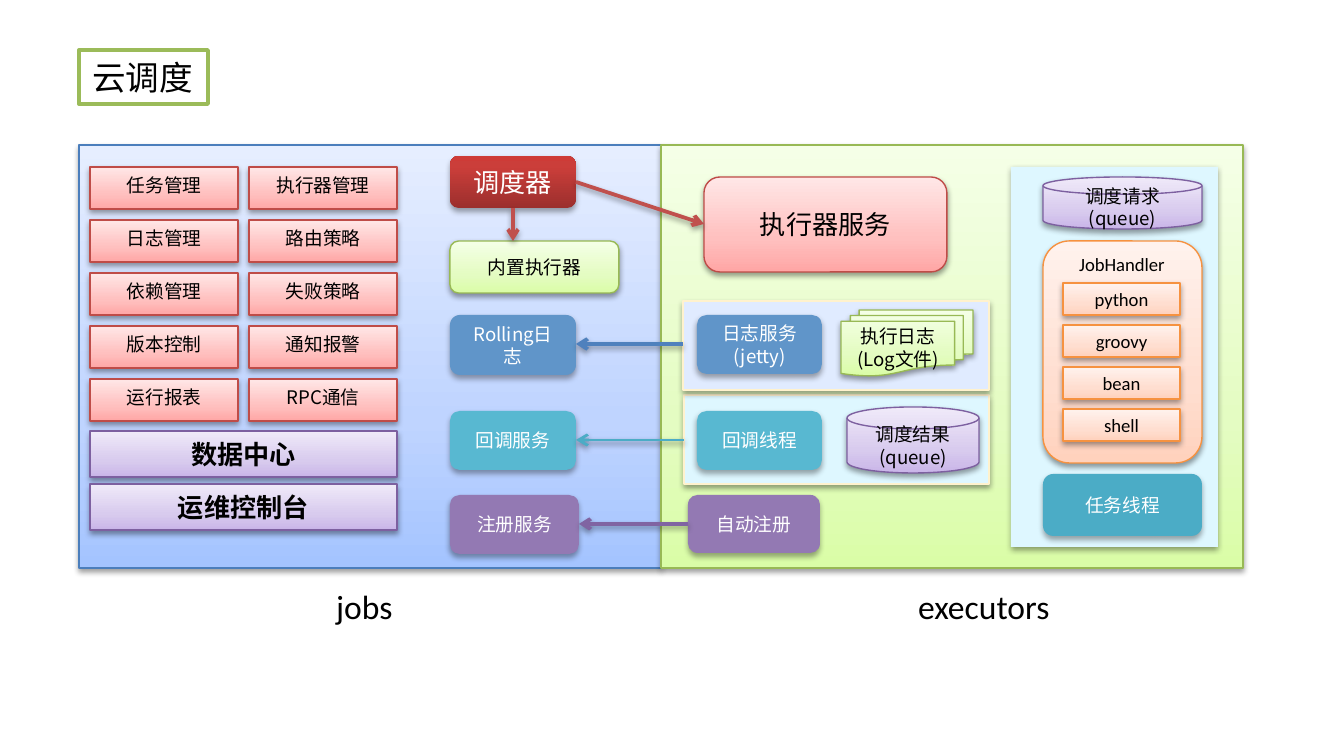
from lxml.etree import SubElement
from pptx import Presentation
from pptx.dml.color import RGBColor
from pptx.enum.shapes import MSO_CONNECTOR, MSO_SHAPE as Kind
from pptx.enum.text import MSO_ANCHOR as Anchor, PP_ALIGN as Align
from pptx.oxml.ns import qn
from pptx.util import Emu, Pt

SCALE = 914400 / 134.4
CJK, LATIN = "Noto Sans CJK SC", "Calibri"
RECT, ROUND = Kind.RECTANGLE, Kind.ROUNDED_RECTANGLE
SOFT, DISK = Kind.FLOWCHART_ALTERNATE_PROCESS, Kind.FLOWCHART_MAGNETIC_DISK
PROCESS, FILES = Kind.FLOWCHART_PROCESS, Kind.FLOWCHART_MULTIDOCUMENT

COLORS = {
    "black": "000000", "white": "FFFFFF", "title line": "9BBB59",
    "red arrow": "C0504D", "blue arrow": "4F81BD",
    "teal arrow": "4BACC6", "purple arrow": "8064A2",
}
# Gradient stops run from bottom to top
PALE, DEEP = (0, 35, 100), (0, 80, 100)
STYLES = {  # fill colours, stops, line, text colour
    "blue": (("A4C4FF", "BFD4FF", "E6EEFF"), PALE, "4B7EBC", "black"),
    "green": (("DAFDA7", "E4FCC2", "F5FFE7"), PALE, "98B955", "black"),
    "pink": (("FFA6A5", "FFC0BF", "FFE7E7"), PALE, "BF4C48", "black"),
    "lilac": (("C9B5E8", "D8CBEE", "F0EAF9"), PALE, "7D60A0", "black"),
    "orange": (("FFD2BD", "FFDED0", "FFF2ED"), PALE, "F69240", "black"),
    "red": (("9C2F2D", "CB3E3A", "CE3B37"), DEEP, None, "white"),
    "thread": (("4BACC6",), None, None, "white"),
    "callback": (("58B8D1",), None, None, "white"),
    "log": (("6095C9",), None, None, "white"),
    "register": (("9379B3",), None, None, "white"),
    "request panel": (("DEF7FF",), None, None, "black"),
    "callback panel": (("DEF7FF",), None, "FFF2CD", "black"),
    "log panel": (("E0EBFF",), None, "FFF2CD", "black"),
}

# Content: text, kind, style, (left, top, width, height), text size
PANELS = [
    ("", RECT, "blue", (79, 145, 582, 423), 10),
    ("", RECT, "green", (661, 145, 582, 423), 10),
    ("", RECT, "request panel", (1011, 167, 207, 380), 10),
    ("", SOFT, "orange", (1043, 241, 159, 222), 10),
    ("", RECT, "callback panel", (684, 395, 305, 89), 10),
    ("", RECT, "log panel", (683, 301, 306, 89), 10),
]
BOXES = [
    ("调度器", ROUND, "red", (450, 156, 126, 52), 14),
    ("内置执行器", SOFT, "green", (450, 241, 169, 52), 10),
    ("Rolling日志", SOFT, "log", (450, 315, 126, 60), 10),
    ("回调服务", ROUND, "callback", (450, 411, 126, 59), 10),
    ("注册服务", SOFT, "register", (450, 495, 129, 59), 10),
    ("执行器服务", SOFT, "pink", (704, 177, 243, 95), 14),
    ("日志服务\n(jetty)", SOFT, "log", (697, 315, 125, 59), 10),
    ("执行日志\n(Log文件)", FILES, "green", (841, 310, 132, 66), 10),
    ("回调线程", ROUND, "callback", (697, 411, 125, 59), 10),
    ("调度结果\n(queue)", DISK, "lilac", (847, 407, 132, 66), 10),
    ("自动注册", SOFT, "register", (688, 495, 132, 58), 10),
    ("调度请求\n(queue)", DISK, "lilac", (1043, 177, 159, 52), 10),
    ("任务线程", SOFT, "thread", (1043, 474, 159, 62), 10),
]
FEATURES = [
    ("任务管理", "执行器管理"), ("日志管理", "路由策略"), ("依赖管理", "失败策略"),
    ("版本控制", "通知报警"), ("运行报表", "RPC通信"),
]
CENTERS = ["数据中心", "运维控制台"]
HANDLERS = ["python", "groovy", "bean", "shell"]
LABELS = [
    ("jobs", (323, 579, 83, 54), 18),
    ("executors", (905, 579, 160, 54), 18),
    ("JobHandler", (1066, 246, 114, 36), 10),
]
ARROWS = [  # colour, from, to, width
    ("red arrow", (576, 182), (704, 224), 2),
    ("red arrow", (513, 208), (513, 241), 2),
    ("blue arrow", (683, 344), (576, 344), 2),
    ("teal arrow", (684, 440), (576, 440), 1.5),
    ("purple arrow", (688, 524), (579, 524), 2),
]

deck = Presentation()
deck.slide_width, deck.slide_height = (Emu(round(n * SCALE)) for n in (1344, 756))
page = deck.slides.add_slide(deck.slide_layouts[6])


def px(*lengths):
    return [Emu(round(n * SCALE)) for n in lengths]


def rgb(value):
    return RGBColor.from_string(value)


def add_color(parent, value, alpha=None):
    color = SubElement(parent, qn("a:srgbClr"), val=value)
    if alpha:
        SubElement(color, qn("a:alpha"), val=str(alpha * 1000))


def add_shadow(effects, distance, alpha):
    shadow = SubElement(effects, qn("a:outerShdw"), blurRad="40000",
                        dist=str(distance), dir="5400000", rotWithShape="0")
    add_color(shadow, COLORS["black"], alpha)


def paint(shape, colors, stops):
    if stops is None:
        shape.fill.solid()
        shape.fill.fore_color.rgb = rgb(colors[0])
        return
    shape.fill.gradient()
    shape.fill.gradient_angle = 90
    stop_list = shape._element.spPr.find(".//" + qn("a:gsLst"))
    stop_list.clear()
    for color, stop in zip(colors, stops):
        add_color(SubElement(stop_list, qn("a:gs"), pos=str(stop * 1000)), color)


def write(shape, text, size, color, font=CJK, bold=False,
          align=Align.CENTER, anchor=Anchor.MIDDLE, wrap=True):
    frame = shape.text_frame
    frame.word_wrap, frame.vertical_anchor = wrap, anchor
    frame.text = text
    for para in frame.paragraphs:
        para.alignment = align
        para.font.size, para.font.bold = Pt(size), bold
        para.font.color.rgb = rgb(COLORS[color])
        para.font.name = font
        SubElement(para.font._element, qn("a:ea"), typeface=CJK)


def add_box(text, kind, style, at, size=10, **options):
    colors, stops, line, text_color = STYLES[style]
    box = page.shapes.add_shape(kind, *px(*at))
    paint(box, colors, stops)
    if line:
        box.line.color.rgb, box.line.width = rgb(line), Pt(0.75)
    else:
        box.line.fill.background()
    box.shadow.inherit = False
    effects = box._element.spPr.find(qn("a:effectLst"))
    add_shadow(effects, *((23000, 35) if text_color == "white" else (20000, 38)))
    if text:
        write(box, text, size, text_color, **options)


def add_label(text, at, size):
    write(page.shapes.add_textbox(*px(*at)), text, size, "black", font=LATIN,
          align=Align.LEFT, anchor=Anchor.TOP, wrap=False)


# Title
title = page.shapes.add_shape(RECT, *px(79, 50, 129, 54))
title.shadow.inherit = False
paint(title, (COLORS["white"],), None)
title.line.color.rgb, title.line.width = rgb(COLORS["title line"]), Pt(2)
write(title, "云调度", 18, "black", font=LATIN,
      align=Align.LEFT, anchor=Anchor.TOP, wrap=False)

# Panels and single boxes
for item in PANELS + BOXES:
    add_box(*item)

# Feature grid, with the two wide bars below it
for row, names in enumerate(FEATURES):
    for column, name in enumerate(names):
        add_box(name, RECT, "pink", (90 + 159 * column, 167 + 53 * row, 148, 42),
                anchor=Anchor.TOP)
for row, name in enumerate(CENTERS):
    add_box(name, PROCESS, "lilac", (90, 431 + 53 * row, 307, 46), 14, bold=True)

# Job handlers
for row, name in enumerate(HANDLERS):
    add_box(name, RECT, "orange", (1063, 283 + 42 * row, 117, 32), font=LATIN)

for label in LABELS:
    add_label(*label)

# Arrows
for color, start, end, width in ARROWS:
    arrow = page.shapes.add_connector(MSO_CONNECTOR.STRAIGHT, *px(*start, *end))
    arrow.line.color.rgb, arrow.line.width = rgb(COLORS[color]), Pt(width)
    SubElement(arrow.line._get_or_add_ln(), qn("a:tailEnd"), type="arrow")
    add_shadow(SubElement(arrow._element.spPr, qn("a:effectLst")), 20000, 38)

deck.save("out.pptx")
